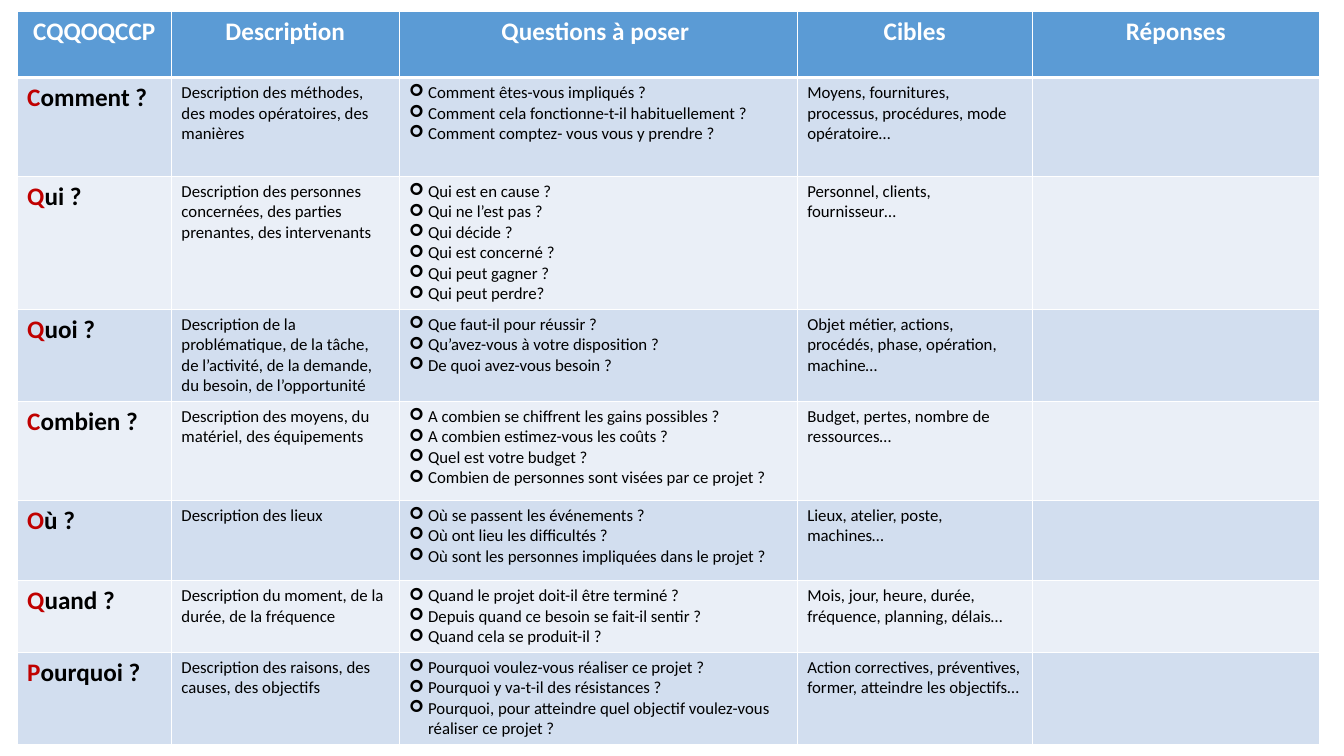
import lxml.etree
import pptx
import pptx.dml.color
import pptx.enum.text
import pptx.oxml.ns
import pptx.util

Pt = pptx.util.Pt
qn = pptx.oxml.ns.qn

FONT = "Calibri"
COLORS = {
    "header": "5B9BD5",
    "odd_band": "D2DEEF",
    "even_band": "EAEFF7",
    "white": "FFFFFF",
    "black": "000000",
    "initial": "C00000",
}
TABLE_BOX = (12.24, 7.92, 930.3, 520.6)
COLUMN_WIDTHS = [110.2, 162.7, 284.4, 167.8, 205.2]
ROW_HEIGHTS = [47.5, 70.6, 93.6, 65, 70.6, 57.6, 50.7, 65]
BULLET_INDENT = 13.5

HEADINGS = ["CQQOQCCP", "Description", "Questions à poser ", "Cibles", "Réponses"]
# Each topic: question word, description, questions to ask, targets.
TOPICS = [
    ("Comment ?",
     "Description des méthodes, des modes opératoires, des manières",
     ["Comment êtes-vous impliqués ?",
      "Comment cela fonctionne-t-il habituellement ?",
      "Comment comptez- vous vous y prendre ?"],
     "Moyens, fournitures, processus, procédures, mode opératoire…"),
    ("Qui ?",
     "Description des personnes concernées, des parties prenantes, des intervenants",
     ["Qui est en cause ?", "Qui ne l’est pas ?", "Qui décide ?",
      "Qui est concerné ?", "Qui peut gagner ?", "Qui peut perdre?"],
     "Personnel, clients, fournisseur…"),
    ("Quoi ?",
     "Description de la problématique, de la tâche, de l’activité, "
     "de la demande, du besoin, de l’opportunité",
     ["Que faut-il pour réussir ?",
      "Qu’avez-vous à votre disposition ?",
      "De quoi avez-vous besoin ?"],
     "Objet métier, actions, procédés, phase, opération, machine…"),
    ("Combien ?",
     "Description des moyens, du matériel, des équipements",
     ["A combien se chiffrent les gains possibles ?",
      "A combien estimez-vous les coûts ?",
      "Quel est votre budget ?",
      "Combien de personnes sont visées par ce projet ?"],
     "Budget, pertes, nombre de ressources…"),
    ("Où ?",
     "Description des lieux",
     ["Où se passent les événements ?",
      "Où ont lieu les difficultés ?",
      "Où sont les personnes impliquées dans le projet ?"],
     "Lieux, atelier, poste, machines…"),
    ("Quand ?",
     "Description du moment, de la durée, de la fréquence",
     ["Quand le projet doit-il être terminé ?",
      "Depuis quand ce besoin se fait-il sentir ?",
      "Quand cela se produit-il ?"],
     "Mois, jour, heure, durée, fréquence, planning, délais…"),
    ("Pourquoi ?",
     "Description des raisons, des causes, des objectifs",
     ["Pourquoi voulez-vous réaliser ce projet ?",
      "Pourquoi y va-t-il des résistances ?",
      "Pourquoi, pour atteindre quel objectif voulez-vous réaliser ce projet ?"],
     "Action correctives, préventives, former, atteindre les objectifs…"),
]


def rgb(name):
    return pptx.dml.color.RGBColor.from_string(COLORS[name])


def add_span(para, text, size=12, color="black", bold=False):
    span = para.add_run()
    span.text = text
    span.font.name = FONT
    span.font.size = Pt(size)
    span.font.bold = bold
    span.font.color.rgb = rgb(color)


def add_bullet(para):
    properties = para._p.get_or_add_pPr()
    properties.set("marL", str(Pt(BULLET_INDENT)))
    properties.set("indent", str(-Pt(BULLET_INDENT)))
    lxml.etree.SubElement(properties, qn("a:buFont"), typeface="Wingdings")
    lxml.etree.SubElement(properties, qn("a:buChar"), char="➢")


def paint_cell(cell, fill, top=1, bottom=1):
    """Fill the cell and draw its white borders, widths in points."""
    cell.fill.solid()
    cell.fill.fore_color.rgb = rgb(fill)
    properties = cell._tc.get_or_add_tcPr()
    sides = {"a:lnL": 1, "a:lnR": 1, "a:lnT": top, "a:lnB": bottom}
    for position, (side, width) in enumerate(sides.items()):
        line = lxml.etree.Element(qn(side), w=str(Pt(width)))
        solid = lxml.etree.SubElement(line, qn("a:solidFill"))
        lxml.etree.SubElement(solid, qn("a:srgbClr"), val=COLORS["white"])
        properties.insert(position, line)


def fill_header(cells):
    for cell, heading in zip(cells, HEADINGS):
        paint_cell(cell, "header", bottom=3)
        para = cell.text_frame.paragraphs[0]
        para.alignment = pptx.enum.text.PP_ALIGN.CENTER
        add_span(para, heading, 18, "white", True)


def fill_topic(cells, topic, fill, top):
    for cell in cells:
        paint_cell(cell, fill, top=top)
    word, description, questions, targets = topic
    word_cell, description_cell, questions_cell, targets_cell = cells[:4]

    para = word_cell.text_frame.paragraphs[0]
    add_span(para, word[0], 18, "initial", True)
    add_span(para, word[1:], 18, "black", True)
    add_span(description_cell.text_frame.paragraphs[0], description)
    add_span(targets_cell.text_frame.paragraphs[0], targets)

    frame = questions_cell.text_frame
    for index, question in enumerate(questions):
        para = frame.add_paragraph() if index else frame.paragraphs[0]
        add_bullet(para)
        add_span(para, question)


def add_question_table(page, box):
    """Add the table to the box, given as left, top, width and height."""
    frame = page.shapes.add_table(
        len(ROW_HEIGHTS), len(COLUMN_WIDTHS), *(Pt(length) for length in box))
    table = frame.table
    for column, width in zip(table.columns, COLUMN_WIDTHS):
        column.width = Pt(width)
    for row, height in zip(table.rows, ROW_HEIGHTS):
        row.height = Pt(height)

    header, *topic_rows = table.rows
    fill_header(header.cells)
    for index, (row, topic) in enumerate(zip(topic_rows, TOPICS)):
        fill = "even_band" if index % 2 else "odd_band"
        fill_topic(list(row.cells), topic, fill, top=1 if index else 3)


def main():
    deck = pptx.Presentation()
    deck.slide_width = Pt(960)
    deck.slide_height = Pt(540)
    page = deck.slides.add_slide(deck.slide_layouts[6])
    add_question_table(page, TABLE_BOX)
    deck.save("out.pptx")


if __name__ == "__main__":
    main()
